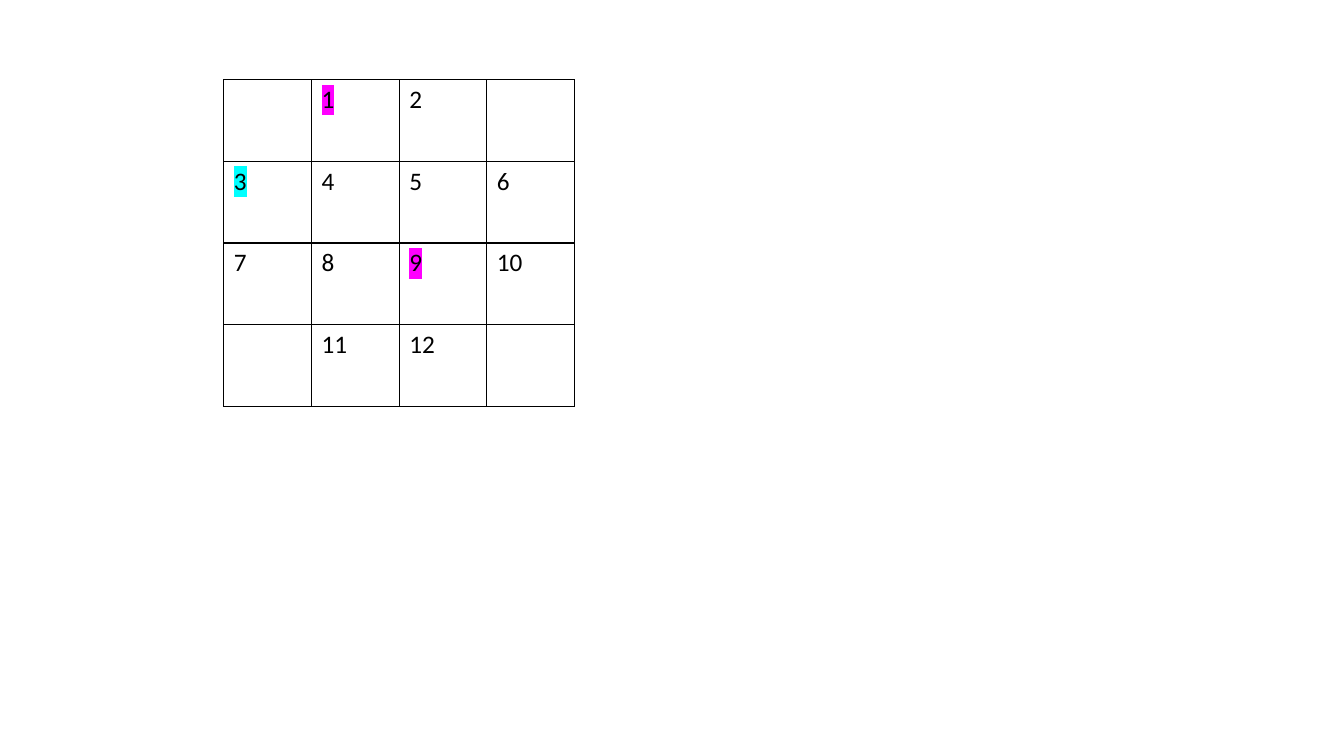
from dataclasses import dataclass
from typing import Optional

from lxml.etree import SubElement
from pptx import Presentation
from pptx.dml.color import RGBColor
from pptx.oxml.ns import qn
from pptx.table import _Cell
from pptx.util import Emu, Pt

SCALE = 9144  # EMU per px, 100 px to the inch

BLACK = RGBColor(0x00, 0x00, 0x00)
MAGENTA = RGBColor(0xFF, 0x00, 0xFF)
CYAN = RGBColor(0x00, 0xFF, 0xFF)

GRID_LEFT, GRID_TOP = 222, 79
COLUMN_WIDTH, ROW_HEIGHT = 87, 81


@dataclass(frozen=True)
class Entry:
    text: str = ""
    highlight: Optional[RGBColor] = None


HIGHLIGHTS = {1: MAGENTA, 3: CYAN, 9: MAGENTA}


def numbered(first: int, last: int) -> list[Entry]:
    return [Entry(str(n), HIGHLIGHTS.get(n)) for n in range(first, last + 1)]


# The four corners of the board stay empty
BOARD = [
    [Entry(), *numbered(1, 2), Entry()],
    numbered(3, 6),
    numbered(7, 10),
    [Entry(), *numbered(11, 12), Entry()],
]


def px(length: int) -> Emu:
    return Emu(length * SCALE)


def add_color(parent, color: RGBColor) -> None:
    SubElement(parent, qn("a:srgbClr"), val=str(color))


def add_borders(cell: _Cell) -> None:
    properties = cell._tc.get_or_add_tcPr()
    for position, side in enumerate(("lnL", "lnR", "lnT", "lnB")):
        line = SubElement(properties, qn(f"a:{side}"), w=str(Pt(1)))
        add_color(SubElement(line, qn("a:solidFill")), BLACK)
        properties.insert(position, line)


def fill_cell(cell: _Cell, entry: Entry) -> None:
    cell.fill.background()
    add_borders(cell)
    if not entry.text:
        return
    para = cell.text_frame.paragraphs[0]
    para.font.name = "Calibri"
    para.font.size = Pt(18)
    para.font.color.rgb = BLACK
    span = para.add_run()
    span.text = entry.text
    if entry.highlight is not None:
        run_properties = span._r.get_or_add_rPr()
        add_color(SubElement(run_properties, qn("a:highlight")), entry.highlight)


def main() -> None:
    deck = Presentation()
    deck.slide_width, deck.slide_height = px(1333), px(750)
    page = deck.slides.add_slide(deck.slide_layouts[6])

    # Number board
    rows, columns = len(BOARD), len(BOARD[0])
    table = page.shapes.add_table(
        rows, columns, px(GRID_LEFT), px(GRID_TOP),
        px(columns * COLUMN_WIDTH), px(rows * ROW_HEIGHT),
    ).table
    table.first_row = False
    table.horz_banding = False
    for row, entries in enumerate(BOARD):
        for column, entry in enumerate(entries):
            fill_cell(table.cell(row, column), entry)

    deck.save("out.pptx")


if __name__ == "__main__":
    main()
